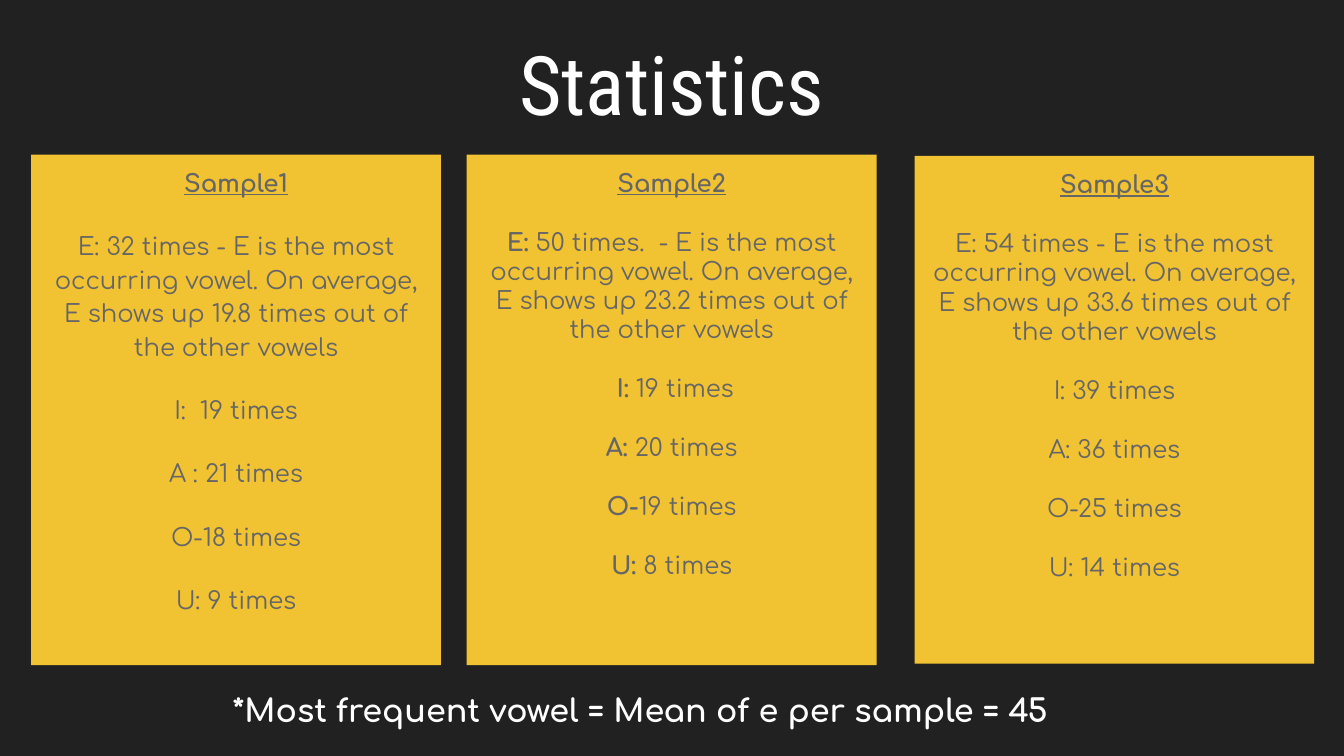
from pptx import Presentation
from pptx.dml.color import RGBColor
from pptx.enum.shapes import MSO_SHAPE
from pptx.enum.text import MSO_ANCHOR, PP_ALIGN
from pptx.util import Pt

DARK, YELLOW, GREY, WHITE = "212121", "F1C232", "666666", "FFFFFF"
TITLE_FONT, BODY_FONT = "Roboto Condensed", "Comfortaa"
BODY_SIZE, PARAGRAPH_GAP, INSET = 13, 16, 7.2

TITLE = "Statistics"
FOOTNOTE = "*Most frequent vowel = Mean of e per sample = 45"

# Each line is a (bold label, plain text) pair.
SAMPLES = [
    {
        "heading": "Sample1", "box": (16.6, 82.8, 219.6, 273.6), "spacing": 1.15,
        "lines": [
            ("", "E: 32 times - E is the most occurring vowel. On average, "
                 "E shows up 19.8 times out of the other vowels"),
            ("", "I:  19 times"),
            ("", "A : 21 times"),
            ("", "O-18 times"),
            ("", "U: 9 times"),
        ],
    },
    {
        "heading": "Sample2", "box": (250, 82.8, 219.6, 273.6), "spacing": 1.0,
        "lines": [
            ("E: ", "50 times.  - E is the most occurring vowel. On average, "
                    "E shows up 23.2 times out of the other vowels"),
            (" I: ", "19 times"),
            ("A: ", "20 times"),
            ("O-", "19 times"),
            ("U: ", "8 times"),
        ],
    },
    {
        "heading": "Sample3", "box": (490, 83.6, 214, 272), "spacing": 1.0,
        "lines": [
            ("", "E: 54 times - E is the most occurring vowel. On average, "
                 "E shows up 33.6 times out of the other vowels"),
            ("", "I: 39 times"),
            ("", "A: 36 times"),
            ("", "O-25 times"),
            ("", "U: 14 times"),
        ],
    },
]


def color(value):
    return RGBColor.from_string(value)


def place(box):
    return [Pt(length) for length in box]


def set_frame(frame, anchor):
    frame.word_wrap = True
    frame.vertical_anchor = anchor
    frame.margin_left = frame.margin_right = Pt(INSET)
    frame.margin_top = frame.margin_bottom = Pt(INSET)


def style(span, font, size, tint, bold=False, underline=False):
    span.font.name = font
    span.font.size = Pt(size)
    span.font.color.rgb = color(tint)
    span.font.bold = bold
    span.font.underline = underline


def add_text(page, box, text, align, anchor, **look):
    frame = page.shapes.add_textbox(*place(box)).text_frame
    set_frame(frame, anchor)
    frame.text = text
    para = frame.paragraphs[0]
    para.alignment = align
    style(para.runs[0], **look)


def add_sample(page, sample):
    card = page.shapes.add_shape(MSO_SHAPE.RECTANGLE, *place(sample["box"]))
    card.shadow.inherit = False
    card.fill.solid()
    card.fill.fore_color.rgb = color(YELLOW)
    card.line.fill.background()

    frame = card.text_frame
    set_frame(frame, MSO_ANCHOR.TOP)
    frame.text = sample["heading"]
    heading = frame.paragraphs[0]
    heading.alignment = PP_ALIGN.CENTER
    style(heading.runs[0], BODY_FONT, BODY_SIZE, GREY, bold=True, underline=True)

    for label, text in sample["lines"]:
        para = frame.add_paragraph()
        para.alignment = PP_ALIGN.CENTER
        para.line_spacing = sample["spacing"]
        para.space_before = Pt(PARAGRAPH_GAP)
        for words, bold in ((label, True), (text, False)):
            if words:
                span = para.add_run()
                span.text = words
                style(span, BODY_FONT, BODY_SIZE, GREY, bold=bold)


def main():
    deck = Presentation()
    deck.slide_width, deck.slide_height = Pt(720), Pt(405)
    page = deck.slides.add_slide(deck.slide_layouts[6])
    page.background.fill.solid()
    page.background.fill.fore_color.rgb = color(DARK)

    add_text(page, (0, 11.5, 720, 65.5), TITLE, PP_ALIGN.CENTER, MSO_ANCHOR.MIDDLE,
             font=TITLE_FONT, size=44, tint=WHITE)
    for sample in SAMPLES:
        add_sample(page, sample)
    add_text(page, (117.4, 363, 486, 54), FOOTNOTE, PP_ALIGN.LEFT, MSO_ANCHOR.TOP,
             font=BODY_FONT, size=17, tint=WHITE, bold=True)
    deck.save("out.pptx")


if __name__ == "__main__":
    main()
